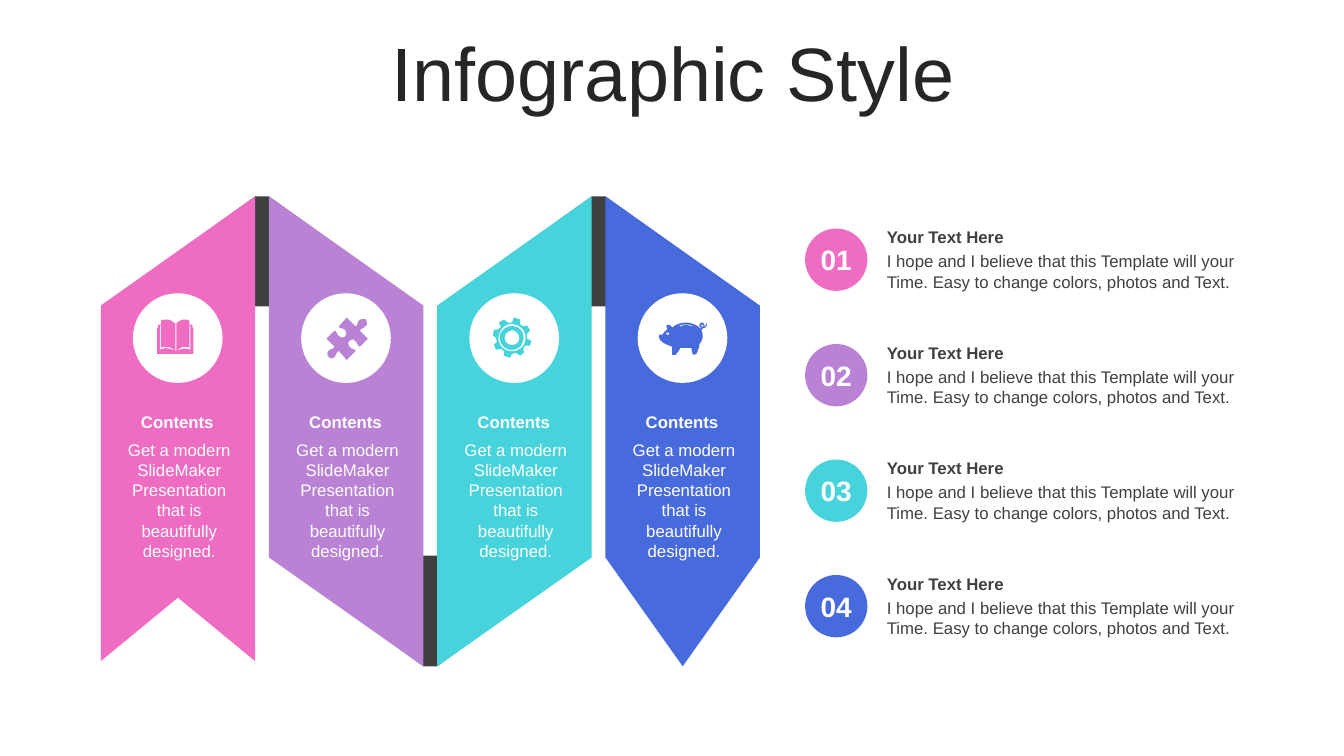
from pptx import Presentation
from pptx.dml.color import RGBColor
from pptx.enum.shapes import MSO_SHAPE
from pptx.enum.text import MSO_ANCHOR, MSO_AUTO_SIZE, PP_ALIGN
from pptx.util import Cm, Pt

OVAL = MSO_SHAPE.OVAL
LEFT, CENTER = PP_ALIGN.LEFT, PP_ALIGN.CENTER
MIDDLE = MSO_ANCHOR.MIDDLE
FIT_SHAPE, NO_FIT = MSO_AUTO_SIZE.SHAPE_TO_FIT_TEXT, MSO_AUTO_SIZE.NONE

PINK, PURPLE, TEAL, BLUE = "EE6CC1", "B982D5", "47D3DC", "476ADD"
WHITE, DARK, INK = "FFFFFF", "404040", "262626"

ICON_UNIT = 0.0254
CURVE_STEPS = 6

BOOK = ["""174,348 C 174,348 175,348 175,348 C 180,346 183,345 189,347 L 189,323 188,323
C 188,330 188,337 188,345 184,343 179,344 175,348 L 175,323 175,322 175,321
C 177,319 180,317 183,317 184,317 186,317 188,318 188,319 188,321 188,322
L 191,322 191,325 192,325 192,351 156,351 156,325 157,325 157,322 160,322
C 160,321 160,319 160,318 162,317 164,317 165,317 169,317 171,319 174,321
L 174,322 174,323 174,348 C 169,344 165,343 160,345 L 160,323 159,323 159,347
C 165,344 168,346 174,348"""]

PUZZLE = ["""363,317 C 364,319 365,322 363,323 361,326 359,325 357,328 L 365,336 357,344
C 354,342 355,340 352,338 351,336 348,337 347,338 345,339 345,342 347,344
349,347 350,345 353,348 L 344,357 336,348
C 333,351 334,351 332,354 330,356 327,356 326,354 325,353 324,350 326,348
328,346 330,347 332,344 L 324,336 332,328
C 335,330 334,332 337,334 338,335 341,335 342,334 344,332 344,329 342,327
340,325 339,327 336,324 L 344,315 353,324
C 356,321 354,320 356,318 359,316 361,316 363,317"""]

GEAR = [
    """510,328 C 506,327 502,330 501,333 500,337 502,341 506,342
510,343 514,341 515,337 516,333 513,329 510,328""",
    """511,324 C 517,325 521,332 519,338 518,345 511,348 505,347
498,345 495,338 496,332 498,326 505,322 511,324""",
    """511,322 C 504,320 497,324 495,332 493,339 497,346 504,348
512,350 519,346 521,339 523,331 519,324 511,322""",
    """516,317 L 516,322 C 517,322 518,323 519,324 L 523,323 526,328 523,331
C 523,333 523,334 523,336 L 527,338 526,343 521,343 C 520,344 520,345 519,346
L 520,350 516,353 512,350 C 511,350 509,351 508,351 L 506,355 500,353 500,348
C 499,348 498,347 497,346 L 492,347 490,342 493,339 C 493,338 492,336 492,335
L 489,333 490,327 494,327 C 495,326 496,325 497,325 L 495,320 500,317 504,320
C 505,320 506,320 508,320 L 510,315""",
]

PIGGY_BANK = [
    """663,330 C 662,330 661,330 661,331 661,332 662,332 663,332
663,332 664,332 664,331 664,330 663,330 663,330""",
    """697,322 C 696,322 696,322 696,323 696,324 696,324 697,324
697,324 698,324 698,323 698,322 697,322 697,322""",
    """681,322 C 678,322 676,322 674,323 L 675,324 C 678,322 683,322 687,324
L 687,323 C 685,322 683,322 681,322""",
    """680,320 C 685,320 691,322 694,325 L 695,326 C 695,326 695,326 696,325
695,325 694,324 694,323 694,321 695,320 697,320 698,320 699,322 699,323
699,324 699,323 699,324 699,324 700,324 701,320 702,324 700,325 697,326
697,327 696,327 696,328 696,328 696,328 696,328 L 697,330
C 698,335 696,340 694,341 694,346 692,348 691,351 691,352 687,352 687,351
687,349 686,347 686,345 682,345 678,345 675,345 674,348 672,350 670,352
L 667,352 C 667,352 667,347 667,344 662,342 652,339 654,332
654,332 656,332 657,332 659,330 660,328 662,327 662,325 661,323 661,323
665,321 665,323 667,325 670,322 676,320 680,320""",
]

PANEL_LEFT, PANEL_PITCH, PANEL_WIDTH, GAP = 2.54, 4.24, 3.89, 0.35
TOP, SHOULDER, FOOT, BOTTOM = 4.95, 7.7, 14.05, 16.79
MIDPOINT = PANEL_WIDTH / 2

PANELS = [
    (PINK, BOOK, 3.45, [(PANEL_WIDTH, TOP), (PANEL_WIDTH, 16.66), (MIDPOINT, 15.06),
                        (0, 16.66), (0, SHOULDER)]),
    (PURPLE, PUZZLE, 3.45, [(0, TOP), (PANEL_WIDTH, SHOULDER), (PANEL_WIDTH, BOTTOM), (0, FOOT)]),
    (TEAL, GEAR, 3.61, [(PANEL_WIDTH, TOP), (PANEL_WIDTH, FOOT), (0, BOTTOM), (0, SHOULDER)]),
    (BLUE, PIGGY_BANK, 3.61, [(0, TOP), (PANEL_WIDTH, SHOULDER), (PANEL_WIDTH, FOOT),
                              (MIDPOINT, BOTTOM), (0, FOOT)]),
]
FOLDS = [(TOP, 7.72), (BOTTOM, 14.0), (TOP, 7.72)]
PANEL_TEXT = "Get a modern SlideMaker Presentation that is beautifully designed."
ITEM_TEXT = ("I hope and I believe that this Template will your Time. "
             "Easy to change colors, photos and Text.")
ITEM_TOP, ITEM_PITCH = 5.76, 2.91


def color(hex_string):
    return RGBColor.from_string(hex_string)


def write(frame, text, size=12, ink=DARK, bold=False, align=LEFT, font="Arial"):
    paragraph = frame.paragraphs[0]
    paragraph.text = text
    paragraph.alignment = align
    paragraph.font.name = font
    paragraph.font.size = Pt(size)
    paragraph.font.bold = bold
    paragraph.font.color.rgb = color(ink)
    return paragraph


def curve(*corners):
    points = []
    for step in range(1, CURVE_STEPS + 1):
        t = step / CURVE_STEPS
        weights = ((1 - t) ** 3, 3 * t * (1 - t) ** 2, 3 * t * t * (1 - t), t ** 3)
        points.append(tuple(sum(w * c[axis] for w, c in zip(weights, corners)) for axis in (0, 1)))
    return points


def trace(contour):
    points, pending, command = [], [], "L"
    for token in contour.split():
        if token in ("L", "C"):
            command = token
            continue
        pending.append(tuple(float(n) * ICON_UNIT for n in token.split(",")))
        if command == "L":
            points += pending
            pending = []
        elif len(pending) == 3:
            points += curve(points[-1], *pending)
            pending = []
    return points


class InfographicSlide:
    def __init__(self, presentation):
        self.slide = presentation.slides.add_slide(presentation.slide_layouts[5])
        self.shapes = self.slide.shapes

    def paint(self, shape, fill):
        shape.shadow.inherit = False
        shape.fill.solid()
        shape.fill.fore_color.rgb = color(fill)
        shape.line.fill.background()

    def title(self, text):
        shape = self.shapes.title
        shape.left, shape.top, shape.width, shape.height = Cm(0.89), Cm(0.94), Cm(32.16), Cm(2.01)
        frame = shape.text_frame
        frame.auto_size = NO_FIT
        frame.vertical_anchor = MIDDLE
        write(frame, text, size=54, ink=INK, align=CENTER).line_spacing = 0.9

    def outline(self, contours, fill):
        builder = None
        for contour in contours:
            points = [(Cm(x), Cm(y)) for x, y in contour]
            if builder is None:
                builder = self.shapes.build_freeform(*points[0], scale=1.0)
            else:
                builder.move_to(*points[0])
            builder.add_line_segments(points[1:], close=True)
        self.paint(builder.convert_to_shape(), fill)

    def circle(self, left, top, diameter, fill):
        shape = self.shapes.add_shape(OVAL, Cm(left), Cm(top), Cm(diameter), Cm(diameter))
        self.paint(shape, fill)

    def label(self, text, left, top, width, height, inset=(0.25, 0.13), **style):
        box = self.shapes.add_textbox(Cm(left), Cm(top), Cm(width), Cm(height))
        frame = box.text_frame
        frame.word_wrap = True
        frame.auto_size = FIT_SHAPE
        frame.margin_left = frame.margin_right = Cm(inset[0])
        frame.margin_top = frame.margin_bottom = Cm(inset[1])
        write(frame, text, **style)

    def fold(self, center, tip, base):
        self.outline([[(center - GAP / 2, tip), (center + GAP / 2, tip),
                       (center + 4.04, base), (center - 4.04, base)]], DARK)

    def panel(self, left, fill, icon, text_width, corners):
        self.outline([[(left + x, y) for x, y in corners]], fill)
        self.circle(left + 0.81, 7.39, 2.26, WHITE)
        self.outline(map(trace, icon), fill)
        text_left = left + 1.98 - text_width / 2
        self.label(PANEL_TEXT, text_left, 10.95, text_width, 3.33, ink=WHITE, align=CENTER)
        self.label("Contents", text_left - 0.05, 10.24, text_width, 0.76, inset=(0.3, 0.13),
                   ink=WHITE, bold=True, align=CENTER)

    def item(self, number, top, fill):
        self.circle(20.29, top, 1.57, fill)
        self.label(f"{number:02d}", 20.29, top + 0.36, 1.57, 0.86, inset=(0, 0),
                   size=20, ink=WHITE, bold=True, align=CENTER)
        self.label("Your Text Here", 22.1, top - 0.17, 9.6, 0.76, bold=True)
        self.label(ITEM_TEXT, 22.1, top + 0.44, 9.6, 1.27)


def main():
    presentation = Presentation()
    presentation.slide_width, presentation.slide_height = Cm(33.87), Cm(19.05)
    infographic = InfographicSlide(presentation)
    infographic.title("Infographic Style")
    for index, (tip, base) in enumerate(FOLDS, start=1):
        infographic.fold(PANEL_LEFT + index * PANEL_PITCH - GAP / 2, tip, base)
    for index, panel in enumerate(PANELS):
        infographic.panel(PANEL_LEFT + index * PANEL_PITCH, *panel)
        infographic.item(index + 1, ITEM_TOP + index * ITEM_PITCH, panel[0])
    presentation.save("out.pptx")


if __name__ == "__main__":
    main()
